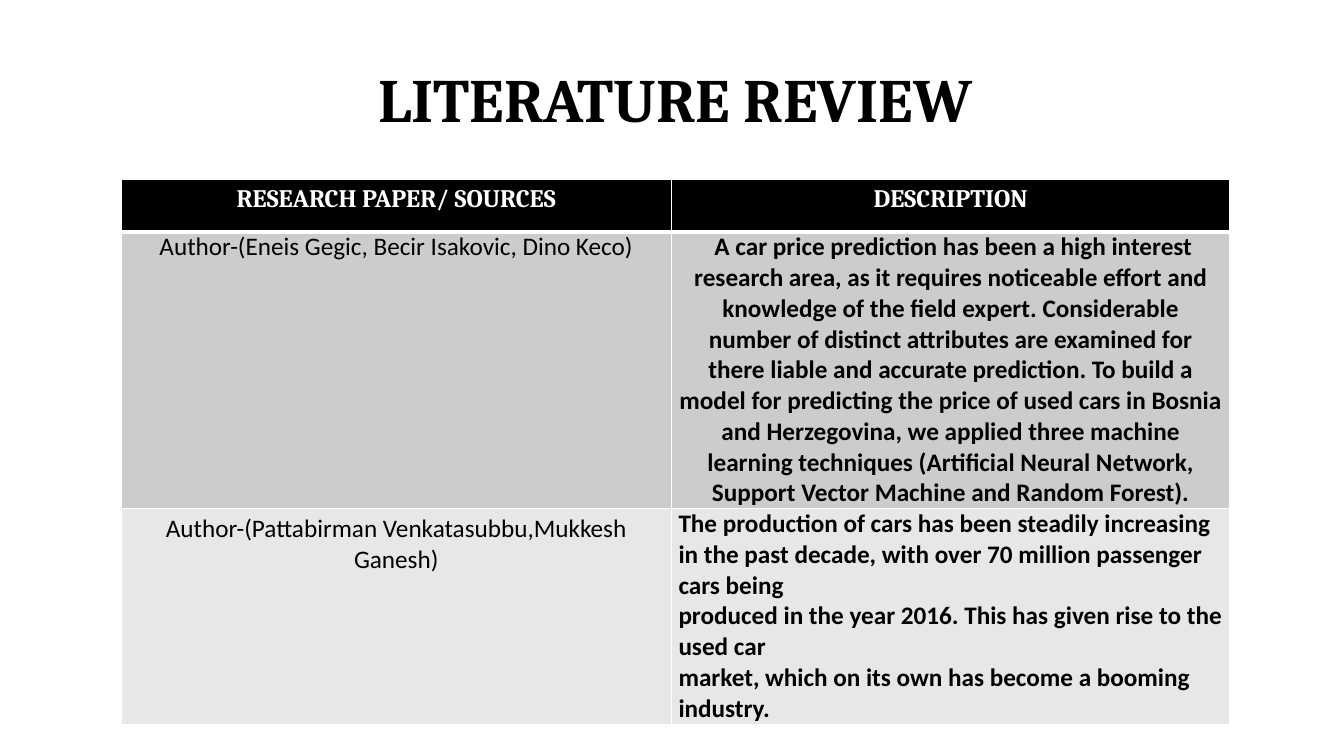
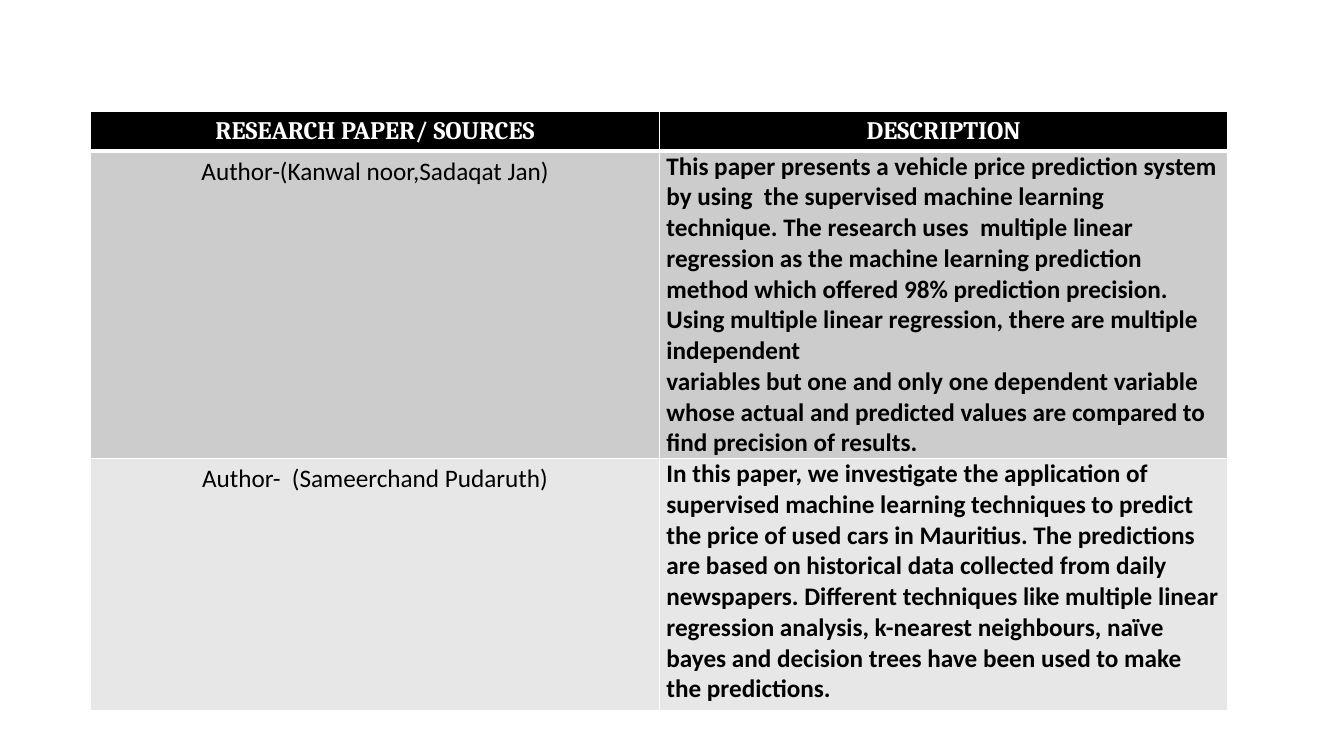
"""Build two literature review slides, each with a table of sources."""
from lxml import etree
from pptx import Presentation
from pptx.dml.color import RGBColor
from pptx.enum.text import MSO_ANCHOR, PP_ALIGN
from pptx.oxml.ns import qn
from pptx.util import Inches, Pt

BLACK = RGBColor(0x00, 0x00, 0x00)
WHITE = RGBColor(0xFF, 0xFF, 0xFF)
DARK = RGBColor(0xCC, 0xCC, 0xCC)
LIGHT = RGBColor(0xE7, 0xE7, 0xE7)
FILLS = [BLACK, DARK, LIGHT]
HEAD, BODY = "Cambria", "Calibri"
CENTER, LEFT = PP_ALIGN.CENTER, PP_ALIGN.LEFT
MIDDLE = MSO_ANCHOR.MIDDLE
HEADS = ["RESEARCH PAPER/ SOURCES", "DESCRIPTION"]


def add_run(para, text, font, size, color, bold):
    run = para.add_run()
    run.text = text
    run.font.name = font
    run.font.size = Pt(size)
    run.font.color.rgb = color
    run.font.bold = bold


def add_border(cell, side, width):
    props = cell._tc.get_or_add_tcPr()
    line = etree.SubElement(props, qn("a:ln" + side), w=str(Pt(width)))
    fill = etree.SubElement(line, qn("a:solidFill"))
    etree.SubElement(fill, qn("a:srgbClr"), val=str(WHITE))


bosnia = (
    "A car price prediction has been a high interest research area, as it "
    "requires noticeable effort and knowledge of the field expert. "
    "Considerable number of distinct attributes are examined for there liable "
    "and accurate prediction. To build a model for predicting the price of "
    "used cars in Bosnia and Herzegovina, we applied three machine learning "
    "techniques (Artificial Neural Network, Support Vector Machine and Random "
    "Forest).")
growth = [
    "The production of cars has been steadily increasing",
    "in the past decade, with over 70 million passenger cars being",
    "produced in the year 2016. This has given rise to the used car",
    "market, which on its own has become a booming industry. "]
linear = [
    "This paper presents a vehicle price prediction system by using  the "
    "supervised machine learning technique. The research uses  multiple "
    "linear regression as the machine learning prediction method which "
    "offered 98% prediction precision. Using multiple linear regression, "
    "there are multiple independent",
    "variables but one and only one dependent variable whose actual and "
    "predicted values are compared to find precision of results. "]
island = (
    "In this paper, we investigate the application of supervised machine "
    "learning techniques to predict the price of used cars in Mauritius. The "
    "predictions are based on historical data collected from daily "
    "newspapers. Different techniques like multiple linear regression "
    "analysis, k-nearest neighbours, naïve bayes and decision trees have been "
    "used to make the predictions.")

pages = [
    {"title": "LITERATURE REVIEW", "left": 1.2, "top": 1.78,
     "cols": [5.46, 5.54], "rows": [0.52, 2.74, 2.14],
     "papers": [
         ("Author-(Eneis Gegic, Becir Isakovic, Dino Keco)", [bosnia], True),
         ("Author-(Pattabirman Venkatasubbu,Mukkesh Ganesh)", growth, False)]},
    {"title": None, "left": 0.9, "top": 1.11,
     "cols": [5.64, 5.64], "rows": [0.38, 3.05, 2.5],
     "papers": [
         ("Author-(Kanwal noor,Sadaqat Jan)", linear, False),
         ("Author-  (Sameerchand Pudaruth)", [island], False)]},
]

deck = Presentation()
deck.slide_width, deck.slide_height = Inches(13.33), Inches(7.5)

for page in pages:
    slide = deck.slides.add_slide(deck.slide_layouts[5 if page["title"] else 6])
    if page["title"]:
        title = slide.shapes.title
        title.left, title.top = Inches(1.2), Inches(0.31)
        title.width, title.height = Inches(11), Inches(1.32)
        title.text_frame.vertical_anchor = MIDDLE
        para = title.text_frame.paragraphs[0]
        para.alignment = CENTER
        add_run(para, page["title"], HEAD, 44, BLACK, True)

    cols, rows = page["cols"], page["rows"]
    table = slide.shapes.add_table(
        len(rows), len(cols), Inches(page["left"]), Inches(page["top"]),
        Inches(sum(cols)), Inches(sum(rows))).table
    for col, width in zip(table.columns, cols):
        col.width = Inches(width)
    for row, height in zip(table.rows, rows):
        row.height = Inches(height)

    lines = [([HEADS[0]], [HEADS[1]], False)]
    lines += [([author], text, tight) for author, text, tight in page["papers"]]
    for r, (source, about, tight) in enumerate(lines):
        for c, texts in enumerate([source, about]):
            cell = table.cell(r, c)
            head = r == 0
            for side in "LRTB":
                thick = (r, side) in [(0, "B"), (1, "T")]
                add_border(cell, side, 3 if thick else 1)
            cell.fill.solid()
            cell.fill.fore_color.rgb = FILLS[r]
            if tight or (c == 1 and not head):
                cell.margin_left = cell.margin_right = Inches(0.07)
                cell.margin_top = cell.margin_bottom = 0
            frame = cell.text_frame
            for i, text in enumerate(texts):
                para = frame.add_paragraph() if i else frame.paragraphs[0]
                para.alignment = CENTER if head or c == 0 or tight else LEFT
                if tight:
                    para.space_after = Pt(8)
                if tight and c == 1:
                    add_run(para, "\u00a0", HEAD, 18, BLACK, False)
                add_run(para, text, HEAD if head else BODY, 18,
                        WHITE if head else BLACK, head or c == 1)

deck.save("out.pptx")
